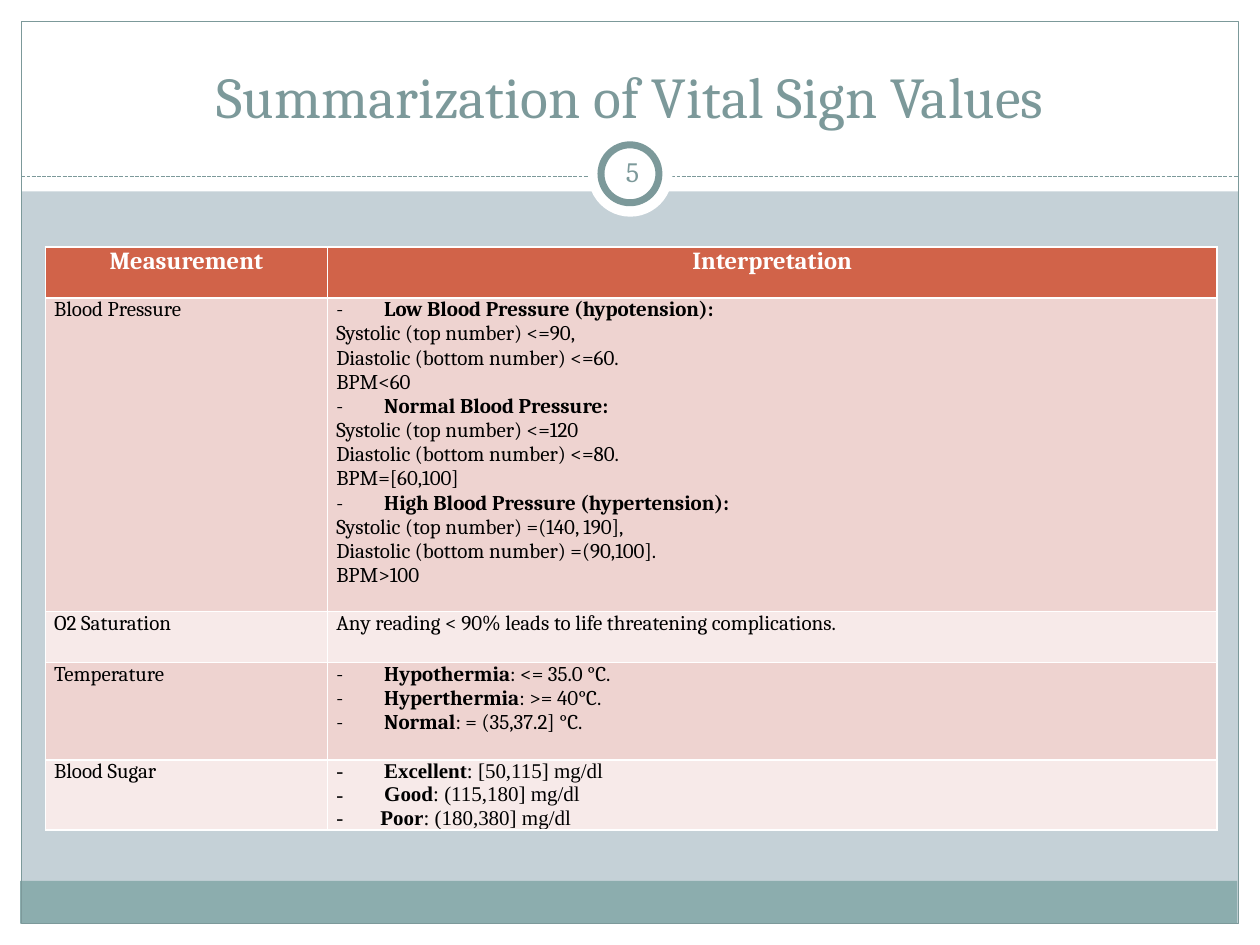
from lxml.etree import SubElement
from pptx import Presentation
from pptx.dml.color import RGBColor
from pptx.enum.dml import MSO_LINE
from pptx.enum.shapes import MSO_CONNECTOR, MSO_SHAPE
from pptx.enum.text import MSO_ANCHOR as ANCHOR, MSO_AUTO_SIZE as AUTO_SIZE, PP_ALIGN as ALIGN
from pptx.oxml.ns import qn
from pptx.util import Inches, Pt

WHITE, TEAL, BLACK = "FFFFFF", "7C999A", "000000"

presentation = Presentation()
presentation.slide_width, presentation.slide_height = Inches(10), Inches(7.5)
slide = presentation.slides.add_slide(presentation.slide_layouts[5])


def percent(left, top, width, height):
    """Turn shares of the slide's size, in percent, into lengths."""
    across, down = presentation.slide_width / 100, presentation.slide_height / 100
    return [round(value) for value in (left * across, top * down, width * across, height * down)]


def paint(target, colour):
    """Give a fill, or a font's or line's fill, a solid hex colour."""
    target.solid()
    target.fore_color.rgb = RGBColor.from_string(colour)


# Background, white borders, footer band, frame and circles
paint(slide.background.fill, "C5D1D7")


def add_panel(kind, place, fill=None, line=None, weight=0.75):
    shape = slide.shapes.add_shape(kind, *percent(*place))
    shape.shadow.inherit = False
    if fill:
        paint(shape.fill, fill)
    else:
        shape.fill.background()
    if line:
        paint(shape.line.fill, line)
        shape.line.width = Pt(weight)
    else:
        shape.line.fill.background()


for place, colour in [
    ((0, 97.73, 100, 2.27), WHITE),
    ((0, 0, 100, 20.27), WHITE),
    ((0, 0, 1.7, 100), WHITE),
    ((98.3, 0, 1.7, 100), WHITE),
    ((1.6, 93.2, 96.6, 4.53), "8CADAE"),
]:
    add_panel(MSO_SHAPE.RECTANGLE, place, colour)
add_panel(MSO_SHAPE.RECTANGLE, (1.7, 2.27, 96.6, 95.46), line=TEAL)

left, top, width, _ = percent(1.7, 18.67, 96.6, 0)
divider = slide.shapes.add_connector(MSO_CONNECTOR.STRAIGHT, left, top, left + width, top)
paint(divider.line.fill, TEAL)
divider.line.width = Pt(0.75)
divider.line.dash_style = MSO_LINE.SQUARE_DOT
SubElement(divider.element.spPr, qn("a:effectLst"))

add_panel(MSO_SHAPE.OVAL, (46.67, 14, 6.7, 8.93), WHITE)
add_panel(MSO_SHAPE.OVAL, (47.7, 15.33, 4.6, 6.13), WHITE, TEAL, 4)

# Title, raised above the panels, and slide number
title = slide.shapes.title
title.element.getparent().append(title.element)
title.left, title.top, title.width, title.height = percent(3.3, 3.33, 93.4, 11.07)
number = slide.shapes.add_textbox(*percent(47.7, 14.93, 5, 6.4))
for side in ("left", "top", "right", "bottom"):
    setattr(number.text_frame, f"margin_{side}", Inches(0.05))

for shape, text, size, anchor in [
    (title, "Summarization of Vital Sign Values", 33, ANCHOR.BOTTOM),
    (number, "5", 16, ANCHOR.MIDDLE),
]:
    frame = shape.text_frame
    frame.text = text
    frame.word_wrap = True
    frame.auto_size = AUTO_SIZE.NONE
    frame.vertical_anchor = anchor
    paragraph = frame.paragraphs[0]
    paragraph.alignment = ALIGN.CENTER
    paragraph.font.name, paragraph.font.size = "Cambria", Pt(size)
    paint(paragraph.font.fill, TEAL)

# Table content: each line is (bold bulleted label, plain text)
readings = [
    ("Measurement", 5.4, "D16349", [("", "Interpretation")]),
    ("Blood Pressure", 33.2, "EED3D0", [
        ("Low Blood Pressure (hypotension):", ""),
        ("", "Systolic (top number) <=90,"),
        ("", "Diastolic (bottom number) <=60."),
        ("", "BPM<60"),
        ("Normal Blood Pressure:", ""),
        ("", "Systolic (top number) <=120"),
        ("", "Diastolic (bottom number) <=80."),
        ("", "BPM=[60,100]"),
        ("High Blood Pressure (hypertension):", ""),
        ("", "Systolic (top number) =(140, 190],"),
        ("", "Diastolic (bottom number) =(90,100]."),
        ("", "BPM>100"),
    ]),
    ("O2 Saturation", 5.4, "F7EAE9", [
        ("", "Any reading < 90% leads to life threatening complications."),
    ]),
    ("Temperature", 10.3, "EED3D0", [
        ("Hypothermia", ": <= 35.0 °C."),
        ("Hyperthermia", ": >= 40°C."),
        ("Normal", ": = (35,37.2] °C."),
    ]),
    ("Blood Sugar", 7.4, "F7EAE9", [
        ("Excellent", ": [50,115] mg/dl"),
        ("Good", ": (115,180] mg/dl"),
        ("Poor", ": (180,380] mg/dl"),
    ]),
]

# Table
total_height = sum(reading[1] for reading in readings)
table = slide.shapes.add_table(len(readings), 2, *percent(3.6, 26.13, 93, total_height)).table
for column, share in zip(table.columns, (22.4, 70.6)):
    column.width = percent(0, 0, share, 0)[2]

for row_index, (measurement, height, fill, lines) in enumerate(readings):
    table.rows[row_index].height = percent(0, 0, 0, height)[3]
    header = row_index == 0
    for column_index, cell_lines in enumerate(([("", measurement)], lines)):
        cell = table.cell(row_index, column_index)
        paint(cell.fill, fill)
        cell.margin_left = cell.margin_right = Inches(0.07)
        cell.margin_top = cell.margin_bottom = 0
        sugar_values = measurement == "Blood Sugar" and column_index == 1
        font_format = {
            "name": "Times New Roman" if sugar_values else "Cambria",
            "size": Pt(14 if header else 12),
        }
        for line_index, (label, text) in enumerate(cell_lines):
            frame = cell.text_frame
            paragraph = frame.add_paragraph() if line_index else frame.paragraphs[0]
            paragraph.alignment = ALIGN.CENTER if header else ALIGN.LEFT
            if label:
                indent = percent(3.5 if label == "Poor" else 3.8, 0, 0, 0)[0]
                properties = paragraph._p.get_or_add_pPr()
                properties.set("marL", str(indent))
                properties.set("indent", str(-indent))
                SubElement(properties, qn("a:buFont"), typeface=font_format["name"])
                SubElement(properties, qn("a:buChar"), char="-")
            for words, bold in ((label, True), (text, header)):
                if words:
                    run = paragraph.add_run()
                    run.text = words
                    for name, value in {**font_format, "bold": bold}.items():
                        setattr(run.font, name, value)
                    paint(run.font.fill, WHITE if header else BLACK)

presentation.save("out.pptx")
